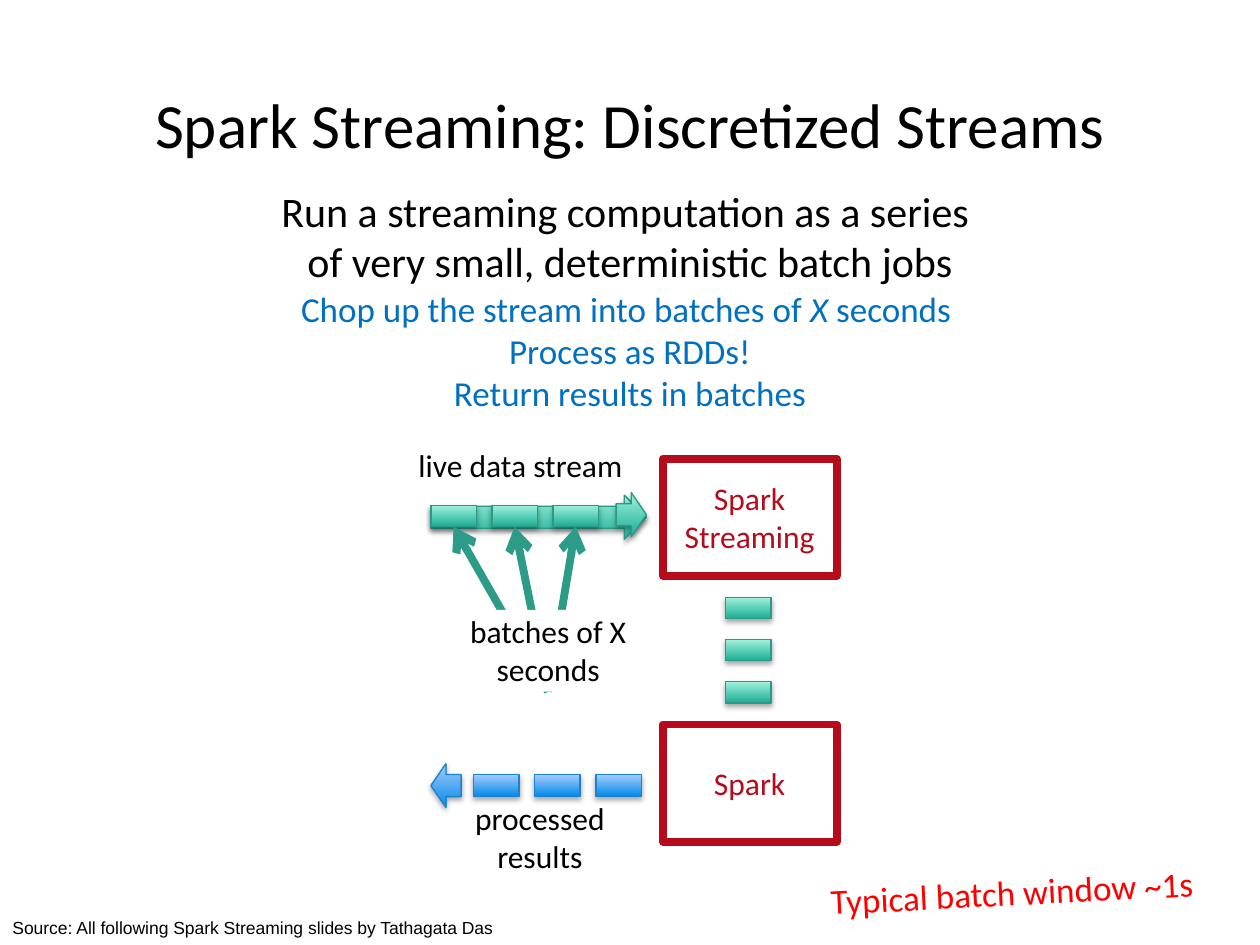
from lxml import etree
from pptx import Presentation
from pptx.dml.color import RGBColor
from pptx.enum.shapes import MSO_CONNECTOR, MSO_SHAPE
from pptx.enum.text import MSO_ANCHOR, MSO_AUTO_SIZE, PP_ALIGN
from pptx.oxml import parse_xml
from pptx.oxml.ns import nsdecls, qn
from pptx.util import Inches, Pt

RECTANGLE, RIGHT_ARROW = MSO_SHAPE.RECTANGLE, MSO_SHAPE.RIGHT_ARROW
CENTER, LEFT = PP_ALIGN.CENTER, PP_ALIGN.LEFT
TOP, MIDDLE = MSO_ANCHOR.TOP, MSO_ANCHOR.MIDDLE
BOTTOM_SIDE = 2

COLORS = {
    "black": "000000", "white": "FFFFFF", "blue": "0070C0",
    "alert": "FF0000", "engine": "B50B1B", "pointer": "2C9C89",
}
# Dark stop, light stop, outline
GRADIENTS = {
    "input": ("1BAD94", "A1F2DD", "289B88"),
    "output": ("038BE7", "A6CAFF", "1884CD"),
}
SHADOW = (
    f'<a:effectLst {nsdecls("a")}><a:outerShdw blurRad="39370" dist="22860" '
    'dir="5400000" rotWithShape="0"><a:srgbClr val="000000">'
    '<a:alpha val="35000"/></a:srgbClr></a:outerShdw></a:effectLst>'
)


def write_text(shape, paragraphs, size, color="black", align=CENTER,
               anchor=TOP, font="Calibri", insets=(0.1, 0.05)):
    """Each paragraph is a list of runs; a run is (text, italic)."""
    frame = shape.text_frame
    frame.word_wrap = True
    frame.auto_size = MSO_AUTO_SIZE.NONE
    frame.vertical_anchor = anchor
    frame.margin_left = frame.margin_right = Inches(insets[0])
    frame.margin_top = frame.margin_bottom = Inches(insets[1])
    for index, runs in enumerate(paragraphs):
        paragraph = frame.paragraphs[0] if index == 0 else frame.add_paragraph()
        paragraph.alignment = align
        paragraph.space_before = Pt(0)
        if shape.is_placeholder:
            properties = paragraph._p.get_or_add_pPr()
            properties.set("marL", "0")
            properties.set("indent", "0")
            etree.SubElement(properties, qn("a:buNone"))
        for text, italic in runs:
            run = paragraph.add_run()
            run.text = text
            run.font.name = font
            run.font.size = Pt(size)
            run.font.italic = italic
            run.font.color.rgb = RGBColor.from_string(COLORS[color])


def add_stream_part(kind, left, top, width, height, stream, rotation=0):
    """Add a glossy, shadowed block or arrow, dark at its lower edge."""
    shape = slide.shapes.add_shape(
        kind, Inches(left), Inches(top), Inches(width), Inches(height))
    dark, light, outline = GRADIENTS[stream]
    shape.rotation = rotation
    shape.fill.gradient()
    shape.fill.gradient_angle = 90 + rotation
    for stop, position, color in zip(
            shape.fill.gradient_stops, (0, 1), (dark, light)):
        stop.position = position
        stop.color.rgb = RGBColor.from_string(color)
    shape.line.color.rgb = RGBColor.from_string(outline)
    shape.line.width = Pt(0.75)
    shape._element.spPr.append(parse_xml(SHADOW))
    return shape


presentation = Presentation()
presentation.slide_width, presentation.slide_height = Inches(10), Inches(7.5)
slide = presentation.slides.add_slide(presentation.slide_layouts[3])
title, summary, steps = slide.placeholders

# Title and the two text blocks
for placeholder, top, height in (
        (title, 0.6, 0.75), (summary, 1.42, 0.91), (steps, 2.23, 1.11)):
    placeholder.left, placeholder.top = Inches(0), Inches(top)
    placeholder.width, placeholder.height = Inches(10), Inches(height)
write_text(title, [[("Spark Streaming: Discretized Streams", False)]], 36,
           anchor=MIDDLE)
write_text(summary, [
    [("Run a streaming computation as a series ", False)],
    [("of very small, deterministic batch jobs", False)],
], 24)
write_text(steps, [
    [("Chop up the stream into batches of ", False), ("X", True),
     (" seconds ", False)],
    [("Process as RDDs!", False)],
    [("Return results in batches", False)],
], 20, "blue")

# Incoming stream, cut into batches
block_width, block_height, block_step = 0.36, 0.17, 0.485
add_stream_part(RIGHT_ARROW, 3.42, 3.93, 1.71, 0.35, "input")
add_stream_part(RIGHT_ARROW, 4.89, 3.91, 0.24, 0.35, "input")
batches = [
    add_stream_part(RECTANGLE, 3.42 + i * block_step, 4.01,
                    block_width, block_height, "input")
    for i in range(3)
]

# Processing engines
for top, lines in ((5.75, ["Spark"]), (3.64, ["Spark", "Streaming"])):
    engine = slide.shapes.add_shape(
        RECTANGLE, Inches(5.26), Inches(top), Inches(1.38), Inches(0.93))
    engine.shadow.inherit = False
    engine.fill.solid()
    engine.fill.fore_color.rgb = RGBColor.from_string(COLORS["white"])
    engine.line.color.rgb = RGBColor.from_string(COLORS["engine"])
    engine.line.width = Pt(4.5)
    write_text(engine, [[(line, False)] for line in lines], 18, "engine",
               anchor=MIDDLE, insets=(0.04, 0.02))

# Batches passed between the engines
for i in range(3):
    add_stream_part(RECTANGLE, 5.76, 4.74 + i * 0.335,
                    block_width, block_height, "input")

# Pointers to the batches, partly covered by the label that follows
pointers = []
for batch in batches:
    pointer = slide.shapes.add_connector(
        MSO_CONNECTOR.STRAIGHT, Inches(4.35), Inches(5.49), Inches(4), Inches(4.18))
    pointer.end_connect(batch, BOTTOM_SIDE)
    pointer.line.color.rgb = RGBColor.from_string(COLORS["pointer"])
    pointer.line.width = Pt(4.5)
    etree.SubElement(pointer.line._get_or_add_ln(), qn("a:tailEnd"), type="arrow")
    etree.SubElement(pointer._element.spPr, qn("a:effectLst"))
    pointers.append(pointer)

# Labels of the incoming stream
for text, left, top, width, height in (
        ("live data stream", 3.17, 3.52, 1.92, 0.35),
        ("batches of X seconds", 3.29, 4.84, 2.12, 0.65)):
    label = slide.shapes.add_shape(
        RECTANGLE, Inches(left), Inches(top), Inches(width), Inches(height))
    label.shadow.inherit = False
    label.fill.solid()
    label.fill.fore_color.rgb = RGBColor.from_string(COLORS["white"])
    label.line.fill.background()
    write_text(label, [[(text, False)]], 18, insets=(0.04, 0.02))
for pointer in pointers:
    pointer.begin_connect(label, BOTTOM_SIDE)

# Outgoing results
add_stream_part(RIGHT_ARROW, 3.42, 6.06, 0.24, 0.35, "output", rotation=180)
for i in range(3):
    add_stream_part(RECTANGLE, 3.76 + i * block_step, 6.15,
                    block_width, block_height, "output")

# Result label, source line and tilted remark
for text, left, top, width, height, rotation, style in (
        ("processed results", 3.43, 6.29, 1.71, 0.71, 0, {"size": 18}),
        ("Source: All following Spark Streaming slides by Tathagata Das",
         0, 7.23, 4.42, 0.27, 0, {"size": 10, "font": "Arial", "align": LEFT}),
        ("Typical batch window ~1s", 6.24, 6.86, 3.58, 0.44, 357,
         {"size": 20, "color": "alert"})):
    note = slide.shapes.add_textbox(
        Inches(left), Inches(top), Inches(width), Inches(height))
    note.rotation = rotation
    write_text(note, [[(text, False)]], **style)

presentation.save("out.pptx")
